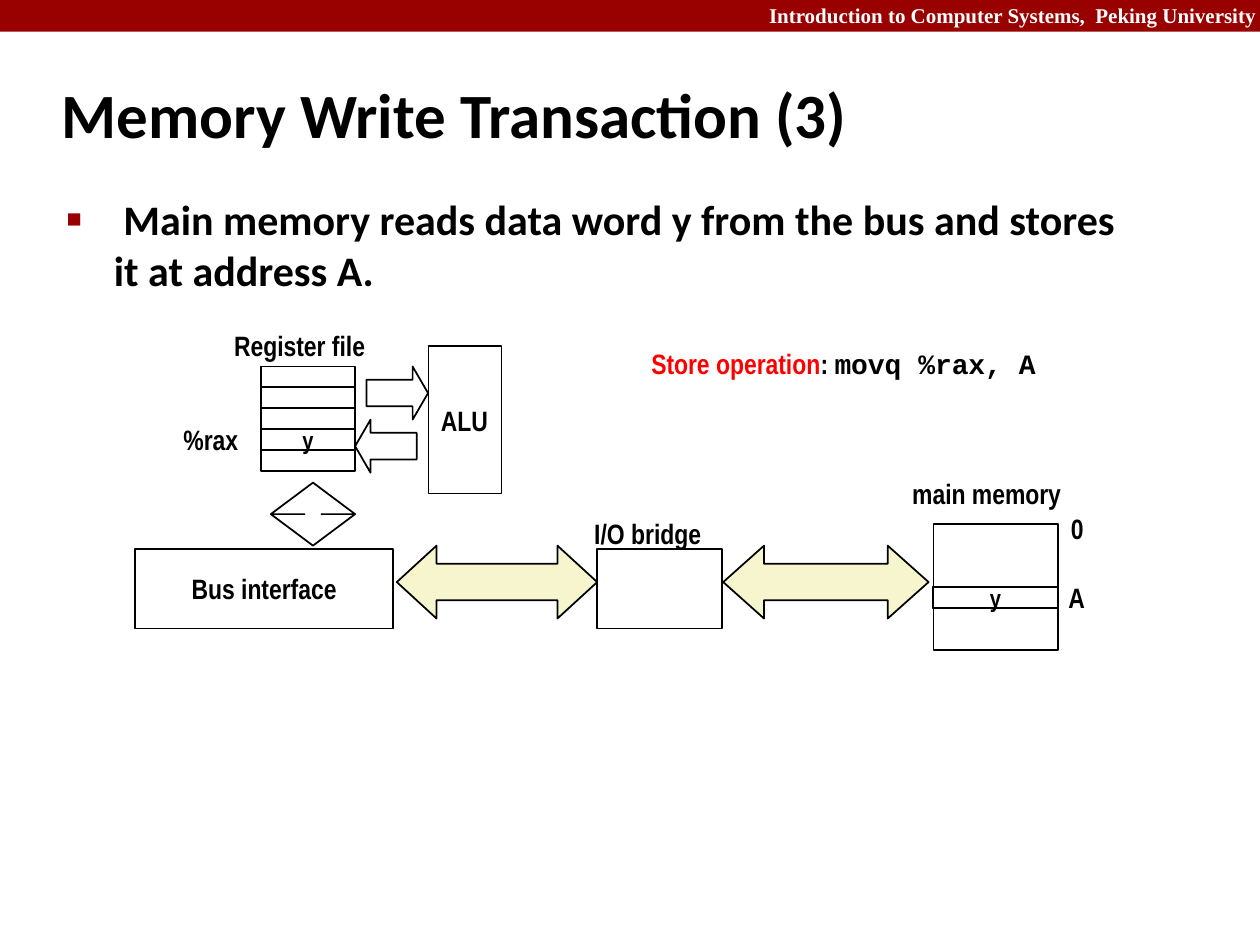
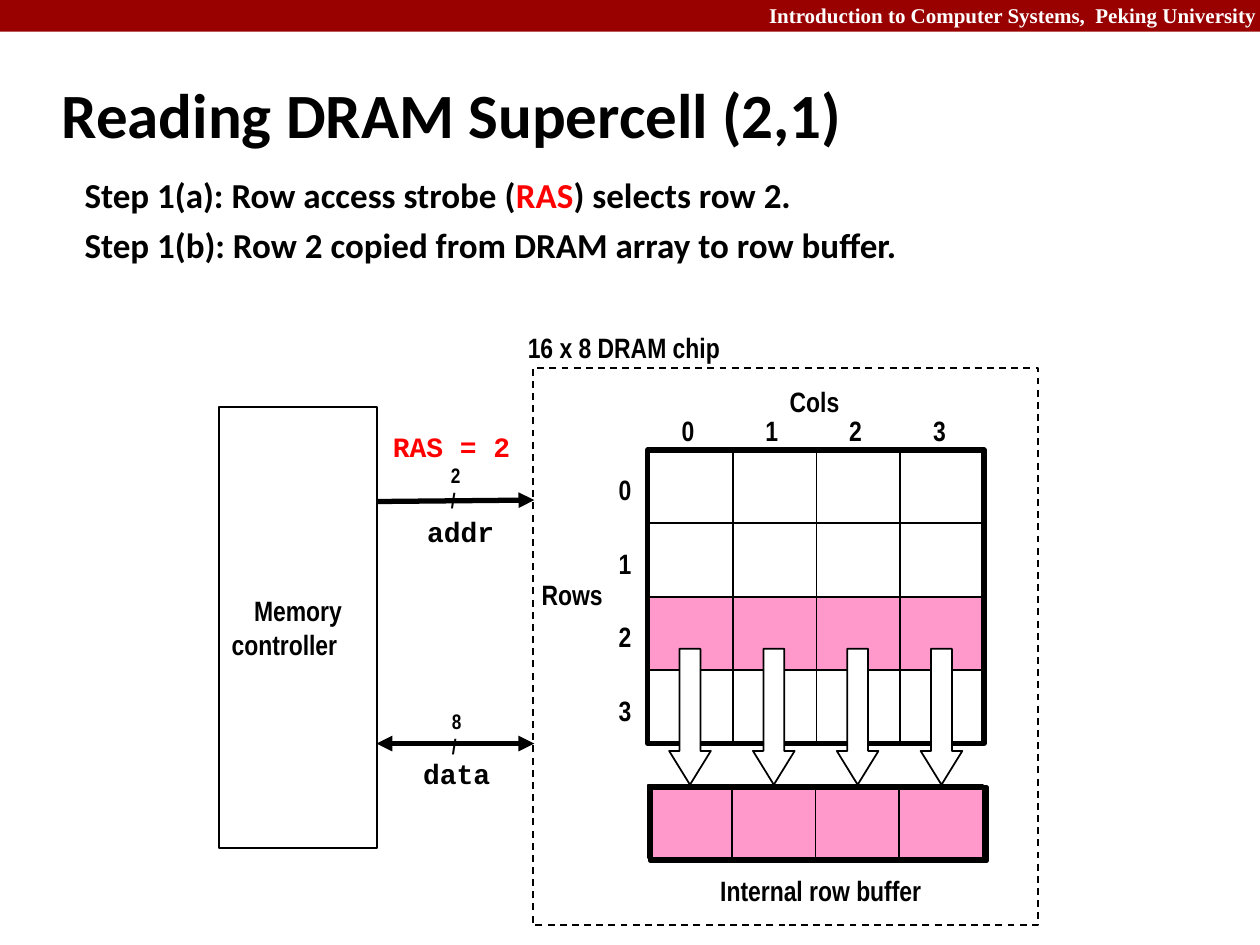
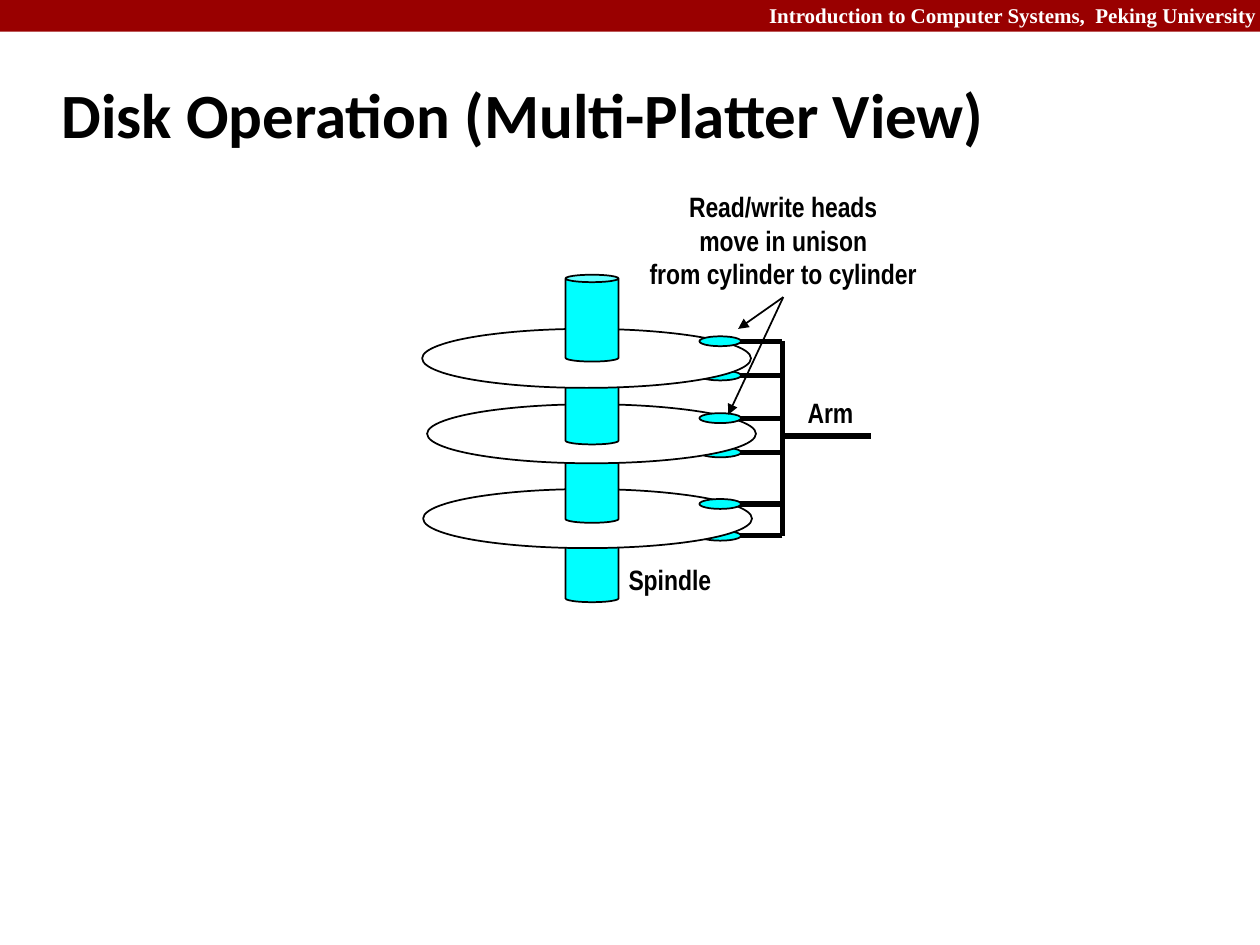
from pptx import Presentation
from pptx import util as u
from pptx.dml.color import RGBColor
from pptx.enum import dml, shapes, text
from pptx.oxml import parse_xml
from pptx.oxml.ns import nsdecls, qn

COLORS = {"ink": "000000", "paper": "FFFFFF", "band": "990000", "alert": "FF0000",
          "bus": "F7F5CD", "selected": "FF99CC", "metal": "00FFFF"}
RGB = {name: RGBColor.from_string(value) for name, value in COLORS.items()}
LABEL = {"name": "Arial Narrow", "size": u.Pt(16), "bold": True}
CODE = {"name": "Courier New"}
SMALL = {"size": u.Pt(14)}
TINY = {"size": u.Pt(12)}
KIND = shapes.MSO_SHAPE
LEFT, CENTER, RIGHT = text.PP_ALIGN.LEFT, text.PP_ALIGN.CENTER, text.PP_ALIGN.RIGHT
LABEL_HEIGHT = 0.94


def draw(slide, kind, at, words="", fill=None, width=1, adjust=(),
         look=None, color="ink", align=LEFT):
    """Add a preset shape, or a text box when kind is None; at is in cm."""
    box = [u.Cm(length) for length in at]
    if kind is None:
        part = slide.shapes.add_textbox(*box)
        part.text_frame.auto_size = text.MSO_AUTO_SIZE.SHAPE_TO_FIT_TEXT
    else:
        part = slide.shapes.add_shape(kind, *box)
        part.shadow.inherit = False
        if fill:
            part.fill.solid()
            part.fill.fore_color.rgb = RGB[fill]
        else:
            part.fill.background()
        if width:
            part.line.color.rgb = RGB["ink"]
            part.line.width = u.Pt(width)
        else:
            part.line.fill.background()
        for index, value in enumerate(adjust):
            part.adjustments[index] = value
    if words:
        frame = part.text_frame
        frame.text = words
        frame.word_wrap = False
        frame.vertical_anchor = text.MSO_ANCHOR.MIDDLE
        for paragraph in frame.paragraphs:
            paragraph.alignment = align
            font = paragraph.runs[0].font
            for key, value in {**LABEL, **(look or {})}.items():
                setattr(font, key, value)
            font.color.rgb = RGB[color]
    return part


def connect(slide, start, end, width=3, heads=()):
    """Add a straight line; heads lists headEnd and tailEnd arrowheads."""
    line = slide.shapes.add_connector(
        shapes.MSO_CONNECTOR.STRAIGHT, *[u.Cm(length) for length in (*start, *end)])
    line.line.color.rgb = RGB["ink"]
    line.line.width = u.Pt(width)
    for head in heads:
        line.line._ln.append(parse_xml(f'<a:{head} {nsdecls("a")} type="triangle"/>'))
    line._element.spPr.append(parse_xml(f'<a:effectLst {nsdecls("a")}/>'))
    return line


prs = Presentation()
prs.slide_width, prs.slide_height = u.Cm(25.4), u.Cm(19.05)

# Titles and body text
pages = [
    ("Memory Write Transaction (3)", 24, (1.09, 3.78, 21.95, 13.82),
     [[(" Main memory reads data word y from the bus and stores it at address A.", "ink")]]),
    ("Reading DRAM Supercell (2,1)", 20, (1.45, 3.38, 22.68, 2.74),
     [[("Step 1(a): Row access strobe (", "ink"), ("RAS", "alert"),
       (") selects row 2.", "ink")],
      [("Step 1(b): Row 2 copied from DRAM array to row buffer.", "ink")]]),
    ("Disk Operation (Multi-Platter View)", None, None, []),
]
for heading, body_size, body_at, steps in pages:
    page = prs.slides.add_slide(prs.slide_layouts[1 if steps else 5])
    title = page.shapes.title
    title.left, title.top, title.width, title.height = map(u.Cm, (0.99, 1.22, 21.08, 2.11))
    title.text = heading
    title.text_frame.vertical_anchor = text.MSO_ANCHOR.MIDDLE
    title.text_frame.paragraphs[0].alignment = LEFT
    styled = [(title.text_frame.paragraphs[0].runs[0], 36, "ink")]
    if steps:
        body = page.placeholders[1]
        body.left, body.top, body.width, body.height = map(u.Cm, body_at)
        for index, step in enumerate(steps):
            frame = body.text_frame
            paragraph = frame.add_paragraph() if index else frame.paragraphs[0]
            bullet = ['<a:buNone {}/>']
            if len(steps) == 1:
                bullet = [f'<a:buClr {{}}><a:srgbClr val="{COLORS["band"]}"/></a:buClr>',
                          '<a:buSzPct {} val="60000"/>', '<a:buChar {} char="■"/>']
            for xml in bullet:
                paragraph._p.get_or_add_pPr().append(parse_xml(xml.format(nsdecls("a"))))
            for words, color in step:
                run = paragraph.add_run()
                run.text = words
                styled.append((run, body_size, color))
    for run, size, color in styled:
        for key, value in {"name": "Calibri", "size": u.Pt(size), "bold": True}.items():
            setattr(run.font, key, value)
        run.font.color.rgb = RGB[color]

write_page, dram_page, disk_page = prs.slides

# Band and course name, moved to the master so that every slide shows them
band = draw(write_page, KIND.RECTANGLE, (0, 0, 25.4, 0.64), fill="band", width=0)
course = draw(write_page, None, (15.24, -0.08, 10.34, 0.76),
              "Introduction to Computer Systems,  Peking University",
              look={"name": "Times New Roman", "size": u.Pt(12)},
              color="paper", align=RIGHT)
course.text_frame.word_wrap = True
course.text_frame.vertical_anchor = text.MSO_ANCHOR.TOP
master_tree = prs.slide_master.element.find(".//" + qn("p:spTree"))
for position, part in enumerate((band, course), start=2):
    master_tree.insert(position, part._element)

# Slide 1: processor, bus and main memory
draw(write_page, KIND.RECTANGLE, (18.82, 10.57, 2.51, 2.54))
for bus_left, bus_width, head in ((14.58, 4.14, 0.56), (8, 4.04, 0.545)):
    draw(write_page, KIND.LEFT_RIGHT_ARROW, (bus_left, 11, bus_width, 1.47),
         fill="bus", adjust=(0.5, head))
draw(write_page, KIND.RECTANGLE, (12.04, 11.07, 2.51, 1.6))
REGISTER_HEIGHT = 0.42
for index, content in enumerate(("", "", "", "y", "")):
    draw(write_page, KIND.RECTANGLE,
         (5.26, 7.39 + index * REGISTER_HEIGHT, 1.9, REGISTER_HEIGHT),
         content, look=SMALL, align=CENTER)
draw(write_page, KIND.RIGHT_ARROW, (7.39, 7.39, 1.24, 1.07), adjust=(0.5, 0.29))
draw(write_page, KIND.LEFT_ARROW, (7.16, 8.46, 1.24, 1.07), adjust=(0.5, 0.29))
draw(write_page, KIND.RECTANGLE, (8.64, 6.98, 1.47, 2.97), "ALU")
draw(write_page, KIND.UP_DOWN_ARROW, (5.46, 9.73, 1.7, 1.27), adjust=(0.5, 0.2))
draw(write_page, KIND.RECTANGLE, (2.72, 11.07, 5.21, 1.6), "Bus interface",
     fill="paper", align=CENTER)
draw(write_page, KIND.RECTANGLE, (18.8, 11.84, 2.54, REGISTER_HEIGHT), "y",
     look=SMALL, align=CENTER)
for words, left, top, width in (
        ("Register file", 4.47, 6.5, 3.2), ("main memory", 18.14, 9.47, 4.19),
        ("0", 21.34, 10.19, 0.81), ("A", 21.29, 11.58, 0.91),
        ("%rax", 3.45, 8.38, 1.63), ("I/O bridge", 11.73, 10.29, 3.15)):
    draw(write_page, None, (left, top, width, LABEL_HEIGHT), words)
operation = draw(write_page, None, (12.88, 6.86, 8.38, 1.63), "Store operation",
                 color="alert")
operation.text_frame.vertical_anchor = text.MSO_ANCHOR.TOP
for words, look in ((": ", LABEL), ("movq %rax, A", {**LABEL, **CODE})):
    run = operation.text_frame.paragraphs[0].add_run()
    run.text = words
    for key, value in look.items():
        setattr(run.font, key, value)
    run.font.color.rgb = RGB["ink"]

# Slide 2: DRAM chip with its cells and row buffer
GRID_LEFT, GRID_TOP = 13.08, 9.07
COL_STEP, ROW_STEP = 1.69, 1.48
SELECTED_ROW = 2
draw(dram_page, KIND.RECTANGLE, (13.11, 15.88, 6.78, 1.47), fill="selected", width=3)
for row in (0, 1, 3, SELECTED_ROW):
    row_top = GRID_TOP + row * ROW_STEP
    for col in range(4):
        draw(dram_page, KIND.RECTANGLE,
             (GRID_LEFT + col * COL_STEP, row_top, COL_STEP, ROW_STEP),
             fill="selected" if row == SELECTED_ROW else "paper")
    draw(dram_page, None, (12.22, row_top + 0.33, 0.81, LABEL_HEIGHT), str(row))
draw(dram_page, KIND.RECTANGLE, (13.06, GRID_TOP, 6.78, 5.92), width=3)
for col in range(4):
    shift = col * COL_STEP
    draw(dram_page, None, (13.49 + shift, 8.2, 0.81, LABEL_HEIGHT), str(col))
    draw(dram_page, KIND.RECTANGLE, (13.06 + shift, 15.82, COL_STEP, ROW_STEP))
    draw(dram_page, KIND.DOWN_ARROW, (13.49 + shift, 13.08, 0.84, 2.74),
         fill="paper", adjust=(0.5, 0.81))
chip = draw(dram_page, KIND.RECTANGLE, (10.74, 7.42, 10.19, 11.23))
chip.line.dash_style = dml.MSO_LINE.DASH
controller = draw(dram_page, KIND.RECTANGLE, (4.42, 8.2, 3.18, 8.89),
                  "Memory\ncontroller", fill="paper", align=CENTER)
controller.text_frame.paragraphs[1].alignment = LEFT
connect(dram_page, (7.59, 10.11), (10.77, 10.08), heads=["tailEnd"])
connect(dram_page, (7.59, 14.99), (10.77, 14.99), heads=["headEnd", "tailEnd"])
for words, left, top, width, look, color in (
        ("16 x 8 DRAM chip", 10.39, 6.53, 5.26, None, "ink"),
        ("Cols", 15.67, 7.62, 1.52, None, "ink"),
        ("Rows", 10.67, 11.51, 1.75, None, "ink"),
        ("Internal row buffer", 14.27, 17.48, 4.62, None, "ink"),
        ("RAS = 2", 7.67, 8.53, 2.9, CODE, "alert"),
        ("addr", 8.36, 10.24, 1.88, CODE, "ink"),
        ("data", 8.28, 15.11, 1.88, CODE, "ink")):
    draw(dram_page, None, (left, top, width, LABEL_HEIGHT), words, look=look, color=color)
for words, left, top in (("2\n/", 8.84, 9.19), ("8\n/", 8.86, 14.15)):
    draw(dram_page, None, (left, top, 0.74, 1.27), words, look=TINY)

# Slide 3: platters from the lowest to the highest
ARM_X = 15.77
SPINDLE = {"fill": "metal", "adjust": (0.14,)}
for platter_left, platter_top, spindle_top, lower_head, upper_head in (
        (8.53, 9.86, 10.39, 10.8, 10.16),
        (8.61, 8.15, 8.79, 9.12, 8.43),
        (8.51, 6.63, 7.21, 7.57, 6.88)):
    for head_y in (lower_head, upper_head):
        if head_y == upper_head:
            draw(disk_page, KIND.CAN, (11.4, spindle_top, 1.07, 1.75), **SPINDLE)
            draw(disk_page, KIND.OVAL, (platter_left, platter_top, 6.63, 1.19), fill="paper")
        connect(disk_page, (ARM_X, head_y), (14.5, head_y))
        draw(disk_page, KIND.OVAL, (14.1, head_y - 0.1, 0.84, 0.2), fill="metal")
draw(disk_page, KIND.CAN, (11.4, 5.54, 1.07, 1.75), **SPINDLE)
connect(disk_page, (ARM_X, 6.88), (ARM_X, 10.8))
connect(disk_page, (ARM_X, 8.79), (17.55, 8.79))
draw(disk_page, None, (16.03, 7.85, 1.45, LABEL_HEIGHT), "Arm")
draw(disk_page, None, (12.4, 11.2, 2.21, LABEL_HEIGHT), "Spindle", align=CENTER)
heads_note = draw(disk_page, None, (12.73, 3.68, 6.12, 2.31),
                  "Read/write heads\nmove in unison\nfrom cylinder to cylinder",
                  align=CENTER)
heads_note.text_frame.word_wrap = True
for target in ((14.88, 6.63), (14.68, 8.36)):
    pointer = connect(disk_page, (ARM_X, 6), target, width=1, heads=["tailEnd"])
    pointer.begin_connect(heads_note, 2)

prs.save("out.pptx")
